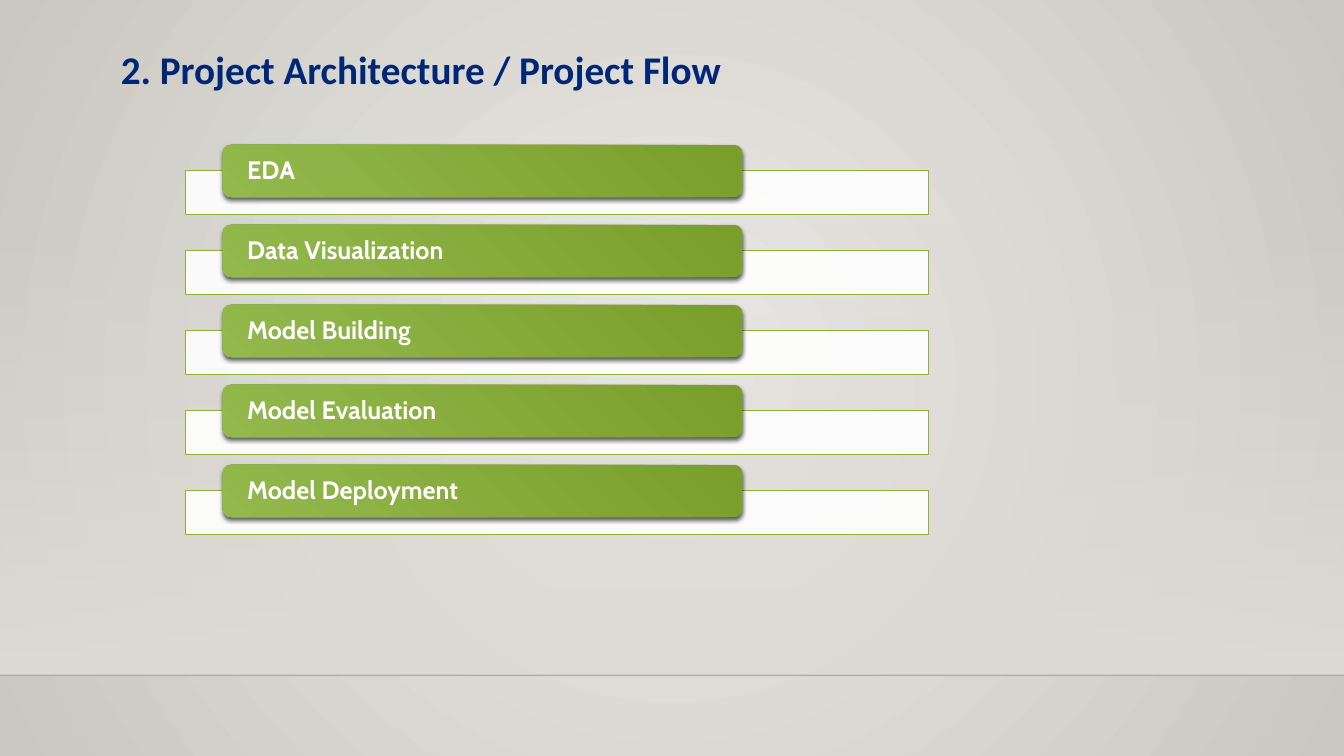
from dataclasses import dataclass

from lxml import etree
from pptx import Presentation
from pptx.dml.color import RGBColor
from pptx.enum.shapes import MSO_CONNECTOR, MSO_SHAPE
from pptx.enum.text import MSO_ANCHOR, PP_ALIGN
from pptx.oxml import parse_xml
from pptx.oxml.ns import nsdecls, qn
from pptx.util import Pt

RECTANGLE = MSO_SHAPE.RECTANGLE
ROUNDED = MSO_SHAPE.ROUNDED_RECTANGLE
STRAIGHT = MSO_CONNECTOR.STRAIGHT
MIDDLE = MSO_ANCHOR.MIDDLE
LEFT = PP_ALIGN.LEFT

COLORS = {
    "wall_light": "ECEAE7",
    "wall_dark": "CAC7C1",
    "haze": "DFDBD5",
    "horizon": "000001",
    "white": "FFFFFF",
    "edge": "8AB431",
    "green_light": "93B94D",
    "green_dark": "7A9E2B",
    "shadow": "000000",
    "title": "002776",
}
PAGE_WIDTH, PAGE_HEIGHT = 960, 540
HORIZON = 482.4
STEP_PITCH = 57.15
LINEAR_DOWN = '<a:lin ang="5400000" scaled="0"/>'


@dataclass(frozen=True)
class Frame:
    left: float
    top: float
    width: float
    height: float

    def lengths(self) -> tuple:
        return Pt(self.left), Pt(self.top), Pt(self.width), Pt(self.height)


@dataclass(frozen=True)
class Stop:
    position: int
    color: str
    alpha: int = 100


@dataclass(frozen=True)
class Step:
    label: str
    offset: float


STEPS = [
    Step(label, index * STEP_PITCH)
    for index, label in enumerate(
        ["EDA", "Data Visualization", "Model Building", "Model Evaluation", "Model Deployment"]
    )
]


def rgb(name: str) -> RGBColor:
    return RGBColor.from_string(COLORS[name])


def circle(left: int, top: int, right: int, bottom: int) -> str:
    return (
        f'<a:path path="circle"><a:fillToRect l="{left * 1000}" t="{top * 1000}" '
        f'r="{right * 1000}" b="{bottom * 1000}"/></a:path>'
    )


def set_alpha(color_parent, percent: int) -> None:
    color = color_parent.find(f".//{qn('a:srgbClr')}")
    etree.SubElement(color, qn("a:alpha")).set("val", str(percent * 1000))


def set_gradient(fill, properties, stops: list[Stop], direction: str) -> None:
    fill.solid()
    stop_list = "".join(
        f'<a:gs pos="{stop.position * 1000}"><a:srgbClr val="{COLORS[stop.color]}">'
        f'<a:alpha val="{stop.alpha * 1000}"/></a:srgbClr></a:gs>'
        for stop in stops
    )
    gradient = parse_xml(
        f'<a:gradFill {nsdecls("a")} rotWithShape="1"><a:gsLst>{stop_list}</a:gsLst>'
        f"{direction}</a:gradFill>"
    )
    properties.replace(properties.find(qn("a:solidFill")), gradient)


def add_box(page, kind, frame: Frame):
    box = page.shapes.add_shape(kind, *frame.lengths())
    box.shadow.inherit = False
    box.line.fill.background()
    return box


def add_span(para, text: str, font: str, size: float, color: str) -> None:
    span = para.add_run()
    span.text = text
    span.font.name = font
    span.font.size = Pt(size)
    span.font.bold = True
    span.font.color.rgb = rgb(color)


def add_backdrop(page) -> None:
    fill = page.background.fill
    fill.solid()
    properties = page.element.find(f".//{qn('p:bgPr')}")
    set_gradient(
        fill, properties, [Stop(0, "wall_light"), Stop(100, "wall_dark")], circle(50, 50, 50, 50)
    )
    haze = add_box(page, RECTANGLE, Frame(0, 159.1, PAGE_WIDTH, HORIZON - 159.1))
    set_gradient(
        haze.fill, haze.element.spPr, [Stop(0, "haze", 0), Stop(100, "haze")], LINEAR_DOWN
    )
    horizon = page.shapes.add_connector(STRAIGHT, 0, Pt(HORIZON), Pt(PAGE_WIDTH), Pt(HORIZON))
    horizon.line.color.rgb = rgb("horizon")
    horizon.line.width = Pt(1)
    properties = horizon.element.spPr
    set_alpha(properties, 20)
    etree.SubElement(properties, qn("a:effectLst"))


def add_step(page, step: Step) -> None:
    panel = add_box(page, RECTANGLE, Frame(132.5, 121.8 + step.offset, 530.6, 31.7))
    panel.fill.solid()
    panel.fill.fore_color.rgb = rgb("white")
    set_alpha(panel.element.spPr.find(qn("a:solidFill")), 90)
    panel.line.color.rgb = rgb("edge")
    panel.line.width = Pt(0.75)

    card = add_box(page, ROUNDED, Frame(159, 103.4 + step.offset, 371.5, 37.4))
    card.adjustments[0] = 0.167
    properties = card.element.spPr
    set_gradient(
        card.fill,
        properties,
        [Stop(0, "green_light"), Stop(100, "green_dark")],
        circle(0, 100, 100, 0),
    )
    properties.find(qn("a:effectLst")).append(
        parse_xml(
            f'<a:outerShdw {nsdecls("a")} blurRad="{Pt(3)}" dist="{Pt(2)}" dir="5400000" '
            f'rotWithShape="0"><a:srgbClr val="{COLORS["shadow"]}">'
            f'<a:alpha val="64000"/></a:srgbClr></a:outerShdw>'
        )
    )
    frame = card.text_frame
    frame.word_wrap = True
    frame.vertical_anchor = MIDDLE
    frame.margin_left = frame.margin_right = Pt(15.8)
    frame.margin_top = frame.margin_bottom = 0
    para = frame.paragraphs[0]
    para.alignment = LEFT
    para.line_spacing = 0.9
    add_span(para, step.label, "Cabin", 18, "white")


def add_title(page) -> None:
    box = page.shapes.add_textbox(*Frame(79.2, 28.8, 480.2, 41.2).lengths())
    box.text_frame.word_wrap = True
    para = box.text_frame.paragraphs[0]
    add_span(para, "2. Project Architecture / Project Flow", "Calibri", 28, "title")


def main() -> None:
    deck = Presentation()
    deck.slide_width, deck.slide_height = Pt(PAGE_WIDTH), Pt(PAGE_HEIGHT)
    page = deck.slides.add_slide(deck.slide_layouts[6])
    add_backdrop(page)
    for step in STEPS:
        add_step(page, step)
    add_title(page)
    deck.save("out.pptx")


if __name__ == "__main__":
    main()
